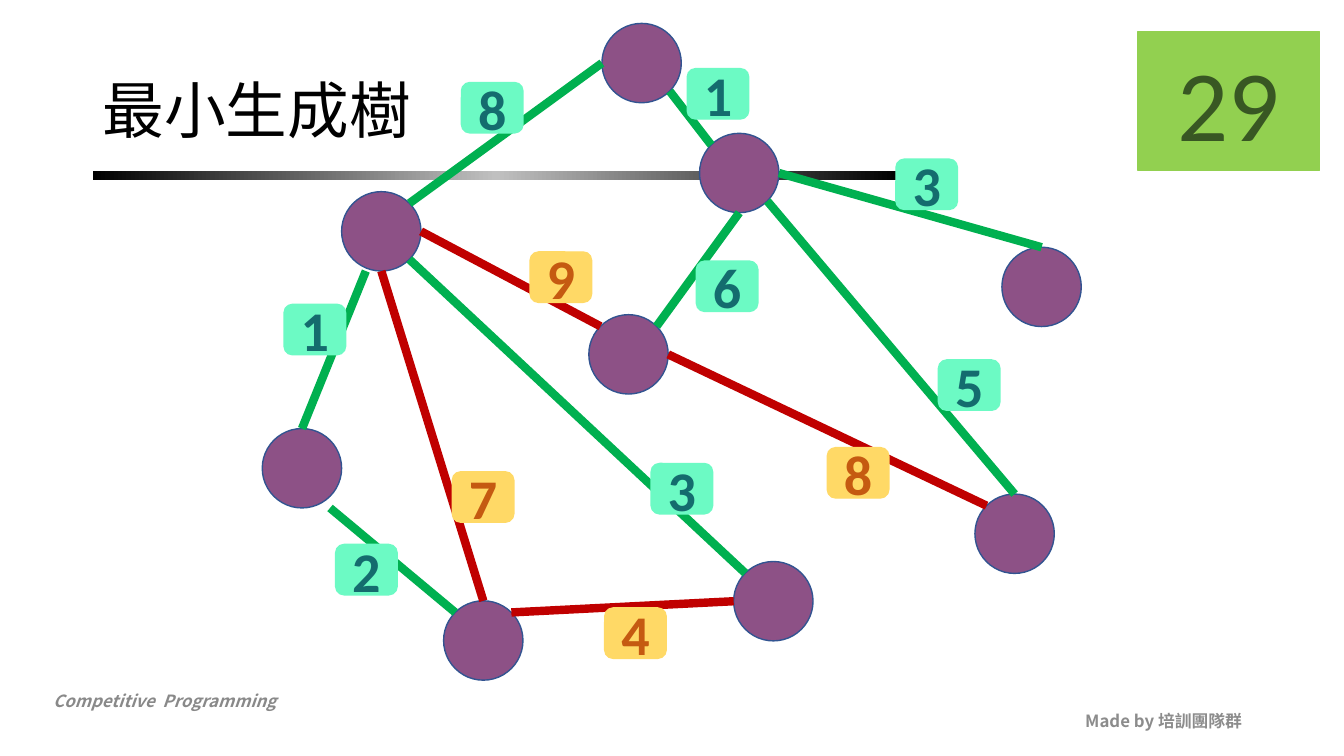
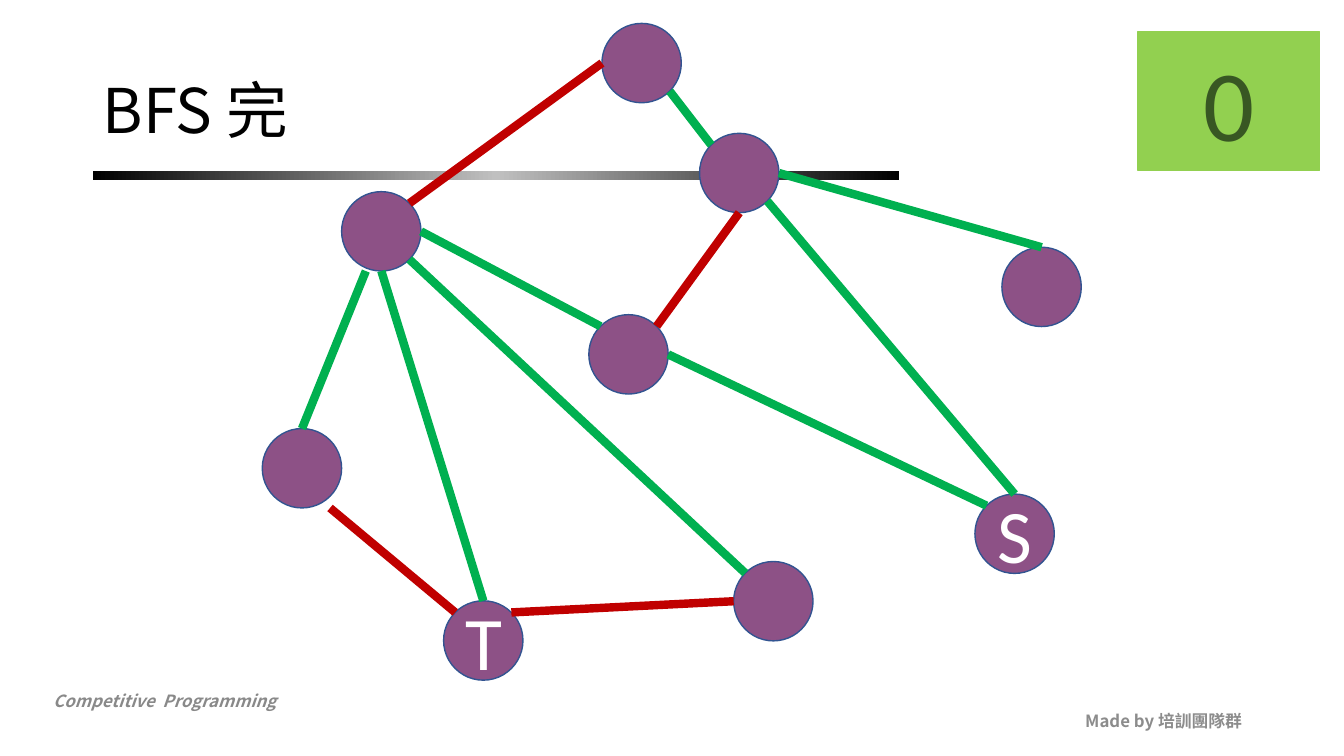
import copy
import math

import pptx
import pptx.dml.color
import pptx.enum.shapes
import pptx.enum.text
import pptx.oxml.ns
import pptx.util
from lxml import etree

Cm = pptx.util.Cm
Pt = pptx.util.Pt
RGBColor = pptx.dml.color.RGBColor
SHAPE = pptx.enum.shapes.MSO_SHAPE
LINE = pptx.enum.shapes.MSO_CONNECTOR
ALIGN = pptx.enum.text.PP_ALIGN
ANCHOR = pptx.enum.text.MSO_ANCHOR
qn = pptx.oxml.ns.qn

# Colours and fonts
BLACK = RGBColor(0x00, 0x00, 0x00)
SILVER = RGBColor(0xC0, 0xC0, 0xC0)
WHITE = RGBColor(0xFF, 0xFF, 0xFF)
GRAY = RGBColor(0x89, 0x89, 0x89)
ASH = RGBColor(0x8C, 0x8C, 0x8C)
PLUM = RGBColor(0x8D, 0x51, 0x86)
NAVY = RGBColor(0x32, 0x54, 0x91)
GREEN = RGBColor(0x00, 0xB0, 0x50)
RED = RGBColor(0xC0, 0x00, 0x00)
MINT = RGBColor(0x6C, 0xFA, 0xC4)
TEAL = RGBColor(0x14, 0x6C, 0x6E)
GOLD = RGBColor(0xFF, 0xD9, 0x66)
RUST = RGBColor(0xC5, 0x5A, 0x11)
LIME = RGBColor(0x92, 0xD0, 0x50)
MOSS = RGBColor(0x38, 0x57, 0x23)
SANS = "Noto Sans CJK SC"
BODY = "Calibri"

# Graph: node centres in cm
RADIUS = 1
NODES = {
    "A": (9.61, 5.83), "B": (16.17, 1.59), "C": (18.63, 4.36),
    "D": (15.84, 8.93), "E": (7.61, 11.8), "F": (26.25, 7.23),
    "G": (19.49, 15.15), "T": (12.18, 16.14), "S": (25.57, 13.45),
}

# Points on a node's rim, as parts of the radius from its centre
DIAG = math.sqrt(0.5)
SITES = {
    "n": (0, -1), "e": (1, 0), "s": (0, 1), "w": (-1, 0),
    "ne": (DIAG, -DIAG), "se": (DIAG, DIAG), "nw": (-DIAG, -DIAG),
    "ssw": (-0.39, 1), "sse": (DIAG, 1),
}

# Edges: node and site at each end, weight, corner of the weight tag in cm
EDGES = [
    ("A", "ne", "B", "w", 8, (11.63, 2.08)),
    ("C", "nw", "B", "se", 1, (17.32, 1.73)),
    ("A", "ssw", "E", "n", 1, (7.16, 7.67)),
    ("D", "nw", "A", "e", 9, (13.36, 6.35)),
    ("T", "n", "A", "s", 7, (11.4, 11.89)),
    ("C", "s", "D", "ne", 6, (17.55, 6.58)),
    ("G", "w", "T", "ne", 4, (15.24, 15.32)),
    ("G", "nw", "A", "se", 3, (16.41, 11.68)),
    ("C", "e", "F", "n", 3, (22.58, 4.01)),
    ("T", "nw", "E", "sse", 2, (8.46, 13.72)),
    ("D", "e", "S", "nw", 8, (20.85, 11.28)),
    ("C", "se", "S", "n", 5, (23.65, 9.07)),
]


def write(shape, text, size=12, color=BLACK, font=BODY, bold=False,
          italic=False, align=ALIGN.CENTER, anchor=ANCHOR.MIDDLE, pitch=None):
    frame = shape.text_frame
    frame.word_wrap = True
    frame.vertical_anchor = anchor
    para = frame.paragraphs[0]
    para.alignment = align
    para.line_spacing = pitch
    run = para.add_run()
    run.text = text
    face = run.font
    face.size, face.bold, face.italic = Pt(size), bold, italic
    face.color.rgb = color
    face.name = font
    east = etree.SubElement(run._r.get_or_add_rPr(), qn("a:ea"))
    east.set("typeface", font)


def label(slide, rect, text, **style):
    box = slide.shapes.add_textbox(*map(Cm, rect))
    write(box, text, **style)


def block(slide, kind, rect, fill, line):
    shape = slide.shapes.add_shape(kind, *map(Cm, rect))
    shape.shadow.inherit = False
    shape.fill.solid()
    shape.fill.fore_color.rgb = fill
    shape.line.color.rgb = line
    shape.line.width = Pt(1)
    return shape


def rule(slide, rect):
    bar = slide.shapes.add_shape(SHAPE.RECTANGLE, *map(Cm, rect))
    bar.shadow.inherit = False
    bar.line.fill.background()
    bar.fill.gradient()
    bar.fill.gradient_angle = 0
    # Third stop: a copy of the first, placed at the end
    stops = bar._element.spPr.find(".//" + qn("a:gsLst"))
    for extra in stops[2:]:
        stops.remove(extra)
    stops.append(copy.deepcopy(stops[0]))
    tones = zip(bar.fill.gradient_stops, (BLACK, SILVER, BLACK), (0, 0.5, 1))
    for stop, color, place in tones:
        stop.color.rgb = color
        stop.position = place


def node(slide, name, text):
    x, y = NODES[name]
    rect = (x - RADIUS, y - RADIUS, 2 * RADIUS, 2 * RADIUS)
    disc = block(slide, SHAPE.OVAL, rect, PLUM, NAVY)
    if text:
        write(disc, text, size=54, color=WHITE)


def point(name, site):
    pairs = zip(NODES[name], SITES[site])
    return [Cm(mid + RADIUS * part) for mid, part in pairs]


def edge(slide, start, end, color):
    line = slide.shapes.add_connector(LINE.STRAIGHT, *start, *end)
    line.line.color.rgb = color
    line.line.width = Pt(6)
    etree.SubElement(line._element.spPr, qn("a:effectLst"))


def tag(slide, corner, weight, fill, color):
    box = block(slide, SHAPE.ROUNDED_RECTANGLE, (*corner, 1.55, 1.27),
                fill, fill)
    write(box, str(weight), size=40, color=color, bold=True)


def graph(slide, reds, marks="", tags=False):
    for name in NODES:
        node(slide, name, name if name in marks else "")
    for tail, out, head, into, _, _ in EDGES:
        color = RED if tail + head in reds else GREEN
        edge(slide, point(tail, out), point(head, into), color)
    if tags:
        for tail, _, head, _, weight, corner in EDGES:
            pair = (GOLD, RUST) if tail + head in reds else (MINT, TEAL)
            tag(slide, corner, weight, *pair)


def page(deck, title, number, **parts):
    slide = deck.slides.add_slide(deck.slide_layouts[6])
    # Footers, rule and title
    label(slide, (1.09, 17.27, 10.8, 0.76), "Competitive  Programming",
          color=GRAY, font=SANS, bold=True, italic=True, align=ALIGN.LEFT,
          anchor=ANCHOR.TOP)
    label(slide, (23.93, 17.65, 7.62, 1.02), "Made by 培訓團隊群",
          color=ASH, font=SANS, bold=True, align=ALIGN.RIGHT)
    rule(slide, (2.34, 4.32, 20.32, 0.23))
    label(slide, (2.34, 1.02, 29.21, 3.68), title, size=44, font=SANS,
          align=ALIGN.LEFT, pitch=0.9)
    # Graph, then the number badge
    graph(slide, **parts)
    badge = block(slide, SHAPE.RECTANGLE, (28.68, 0.79, 4.57, 3.51),
                  LIME, LIME)
    write(badge, number, size=72, color=MOSS)


def main():
    deck = pptx.Presentation()
    deck.slide_width, deck.slide_height = Cm(33.87), Cm(19.05)
    page(deck, "最小生成樹", "29", reds={"DA", "TA", "GT", "DS"}, tags=True)
    page(deck, "BFS 完", "0", reds={"AB", "CD", "GT", "TE"}, marks="ST")
    deck.save("out.pptx")


if __name__ == "__main__":
    main()
